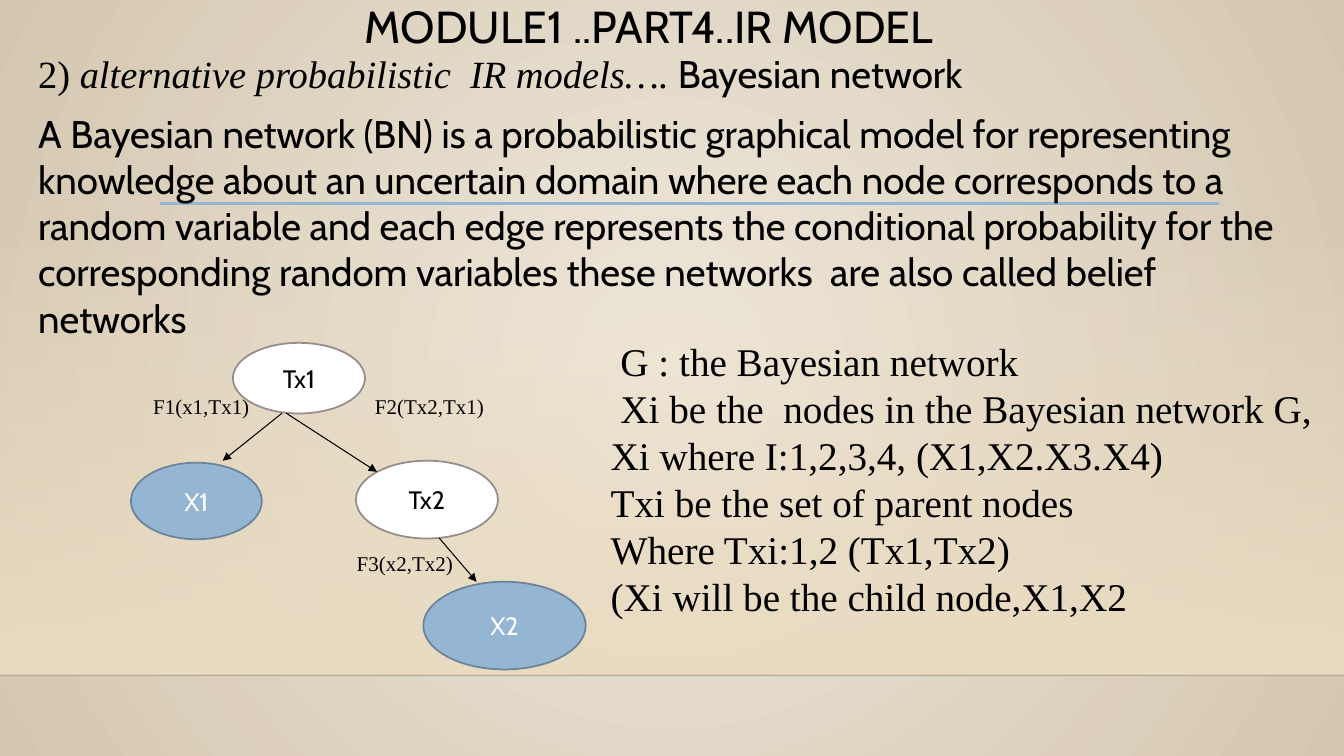
"""Build the slide on Bayesian networks as an alternative IR model."""
import pptx
import pptx.util
import pptx.oxml
import pptx.oxml.ns
import pptx.dml.color
import pptx.enum.shapes
import pptx.enum.text
from dataclasses import dataclass
from pptx.util import Cm, Pt


@dataclass(frozen=True)
class Theme:
    """Colours, fonts and type sizes."""
    sans: str = "Cabin"
    serif: str = "Times New Roman"
    ink: str = "000000"
    white: str = "FFFFFF"
    blue: str = "94B6D2"
    rim: str = "968C8C"
    edge: str = "6C8499"
    sand: str = "EBDDC3"
    light: str = "EFE8DC"
    dark: str = "D4C7B0"
    rule: str = "000001"
    head: float = 32
    text: float = 27.5
    note: float = 28
    node: float = 18
    label: float = 15


T = Theme()
SIZE = (33.87, 19.05)
FLOOR = 17.02

TITLE = "MODULE1 ..PART4..IR MODEL"
BODY = [
    [("2) ", T.serif, False),
     ("alternative probabilistic  IR models….", T.serif, True),
     (" Bayesian network", T.sans, False)],
    [("A Bayesian network (BN) is a probabilistic graphical model for "
      "representing knowledge about an uncertain domain where each node "
      "corresponds to a random variable and each edge represents the "
      "conditional probability for the corresponding random variables "
      "these networks  are also called belief networks", T.sans, False)],
]
NOTES = [
    ("G : the Bayesian network", True),
    ("Xi be the  nodes in the Bayesian network G,", True),
    ("Xi where I:1,2,3,4, (X1,X2.X3.X4)", False),
    ("Txi be the set of parent nodes", False),
    ("Where Txi:1,2 (Tx1,Tx2)", False),
    ("(Xi will be the child node,X1,X2", False),
]
PARENT = (T.white, T.rim, T.ink)
CHILD = (T.blue, T.edge, T.white)
NODES = [
    ("Tx1", (5.87, 8.64, 3.33, 1.78), PARENT),
    ("X1", (3.3, 11.66, 3.3, 1.93), CHILD),
    ("Tx2", (8.97, 11.61, 3.58, 1.96), PARENT),
    ("X2", (10.67, 14.66, 4.09, 2.21), CHILD),
]
ARROWS = [
    (7.11, 10.41, 5.61, 11.61),
    (7.21, 10.41, 9.5, 11.89),
    (11.07, 13.56, 12.01, 14.66),
]
LABELS = [
    ("F1(x1,Tx1)", 3.86, 9.91),
    ("F2(Tx2,Tx1)", 9.45, 9.91),
    ("F3(x2,Tx2)", 8.99, 13.87),
]


def rgb(code):
    """Turn a hex code into a colour."""
    return pptx.dml.color.RGBColor.from_string(code)


def add(tag, parent, **attrs):
    """Append a drawing element to a parent."""
    item = pptx.oxml.parse_xml(f'<a:{tag} {pptx.oxml.ns.nsdecls("a")}/>')
    for key, value in attrs.items():
        item.set(key, str(value))
    parent.append(item)
    return item


def blend(fill, root, stops, round_=False):
    """Fill with a circular or downward gradient."""
    fill.gradient()
    grad = root.find(".//" + pptx.oxml.ns.qn("a:gradFill"))
    for old in list(grad):
        grad.remove(old)
    group = add("gsLst", grad)
    for pos, code, alpha in stops:
        stop = add("gs", group, pos=pos * 1000)
        tone = add("srgbClr", stop, val=code)
        if alpha < 100:
            add("alpha", tone, val=alpha * 1000)
    if round_:
        way = add("path", grad, path="circle")
        add("fillToRect", way, l=50000, t=50000, r=50000, b=50000)
    else:
        add("lin", grad, ang=5400000, scaled=0)


def write(para, text, font, size, color, slant=False):
    """Add one run to a paragraph."""
    run = para.add_run()
    run.text = text
    run.font.name, run.font.size = font, Pt(size)
    run.font.color.rgb, run.font.italic = rgb(color), slant


def place(shape, box):
    """Move and size a shape."""
    shape.left, shape.top, shape.width, shape.height = map(Cm, box)


def setup(frame, wrap=True, pad=True):
    """Set wrapping, anchor and margins of a text frame."""
    frame.word_wrap = wrap
    frame.auto_size = pptx.enum.text.MSO_AUTO_SIZE.NONE
    frame.vertical_anchor = pptx.enum.text.MSO_ANCHOR.TOP
    frame.margin_left = frame.margin_right = Cm(0.25 if pad else 0)
    frame.margin_top = frame.margin_bottom = Cm(0.13 if pad else 0)


def paras(frame, items):
    """Pair each item with its paragraph."""
    for num, item in enumerate(items):
        yield num, item, frame.add_paragraph() if num else frame.paragraphs[0]


def line(slide, ends, color, width, alpha=100, arrow=False):
    """Draw a straight line."""
    kind = pptx.enum.shapes.MSO_CONNECTOR.STRAIGHT
    link = slide.shapes.add_connector(kind, *map(Cm, ends))
    link.line.width = Pt(width)
    link.line.color.rgb = rgb(color)
    props = link._element.spPr
    if alpha < 100:
        tone = props.find(".//" + pptx.oxml.ns.qn("a:srgbClr"))
        add("alpha", tone, val=alpha * 1000)
    if arrow:
        add("tailEnd", link.line._get_or_add_ln(), type="triangle")
    add("effectLst", props)


def shape(slide, kind, box):
    """Draw a preset shape without shadow."""
    item = slide.shapes.add_shape(kind, *map(Cm, box))
    item.shadow.inherit = False
    return item


def backdrop(slide):
    """Draw the background, the band and the two rules."""
    blend(slide.background.fill, slide._element.cSld,
          [(0, T.light, 100), (100, T.dark, 100)], True)
    kinds = pptx.enum.shapes.MSO_SHAPE
    band = shape(slide, kinds.RECTANGLE, (0, 5.61, SIZE[0], FLOOR - 5.61))
    band.line.fill.background()
    blend(band.fill, band._element.spPr, [(0, T.sand, 0), (100, T.sand, 100)])
    line(slide, (0, FLOOR, SIZE[0], FLOOR), T.rule, 1, alpha=20)
    line(slide, (4.04, 5.13, 30.73, 5.13), T.blue, 2.5)


def words(slide):
    """Fill the title and the body."""
    title, body = slide.placeholders
    slide.shapes._spTree.extend([title._element, body._element])
    place(title, (8.94, 0, 21.34, 1.68))
    place(body, (0.71, 1.12, 32.13, 7.5))
    setup(title.text_frame)
    setup(body.text_frame)
    para = title.text_frame.paragraphs[0]
    para.alignment = pptx.enum.text.PP_ALIGN.LEFT
    para.line_spacing = 0.9
    write(para, TITLE, T.sans, T.head, T.ink)
    for num, runs, para in paras(body.text_frame, BODY):
        props = para._p.get_or_add_pPr()
        props.set("marL", "0")
        props.set("indent", "0")
        add("buNone", props)
        para.space_before = Pt(10 if num else 0)
        for text, font, slant in runs:
            write(para, text, font, T.text, T.ink, slant)


def graph(slide):
    """Draw the network with its labels."""
    for name, box, (fill, edge, ink) in NODES:
        node = shape(slide, pptx.enum.shapes.MSO_SHAPE.OVAL, box)
        node.fill.solid()
        node.fill.fore_color.rgb = rgb(fill)
        node.line.color.rgb = rgb(edge)
        node.line.width = Pt(1.25)
        setup(node.text_frame)
        node.text_frame.vertical_anchor = pptx.enum.text.MSO_ANCHOR.MIDDLE
        para = node.text_frame.paragraphs[0]
        para.alignment = pptx.enum.text.PP_ALIGN.CENTER
        write(para, name, T.sans, T.node, ink)
    for ends in ARROWS:
        line(slide, ends, T.ink, 0.75, arrow=True)
    for text, left, top in LABELS:
        box = slide.shapes.add_textbox(*map(Cm, (left, top, 2.9, 0.65)))
        setup(box.text_frame, wrap=False, pad=False)
        write(box.text_frame.paragraphs[0], text, T.serif, T.label, T.ink)


def notes(slide):
    """Write the notation beside the network."""
    box = slide.shapes.add_textbox(*map(Cm, (15.14, 8.36, 18.31, 7.44)))
    setup(box.text_frame)
    for _, (text, inset), para in paras(box.text_frame, NOTES):
        if inset:
            para._p.get_or_add_pPr().set("indent", str(Pt(7)))
        write(para, text, T.serif, T.note, T.ink)


def main():
    """Build and save the slide."""
    deck = pptx.Presentation()
    deck.slide_width, deck.slide_height = map(Cm, SIZE)
    slide = deck.slides.add_slide(deck.slide_layouts[1])
    for draw in (backdrop, words, graph, notes):
        draw(slide)
    deck.save("out.pptx")


if __name__ == "__main__":
    main()
